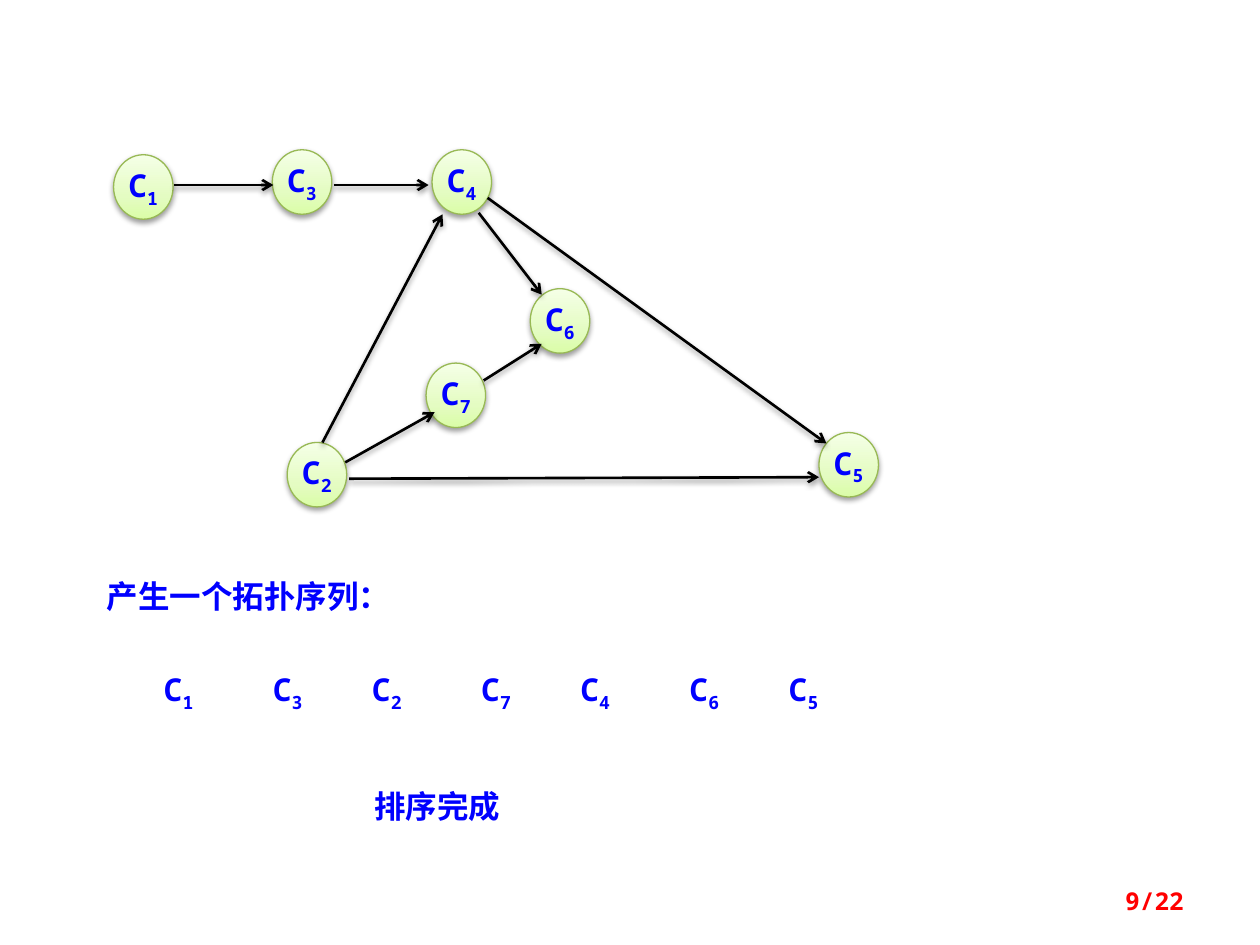
import copy

import pptx
import pptx.dml.color
import pptx.enum.shapes
import pptx.enum.text
import pptx.oxml
import pptx.oxml.ns
import pptx.util

Cm = pptx.util.Cm
Pt = pptx.util.Pt
qn = pptx.oxml.ns.qn
Align = pptx.enum.text.PP_ALIGN
Anchor = pptx.enum.text.MSO_ANCHOR

FONT = "Noto Sans Mono"
BLUE, RED, BLACK, GREEN = "0000FF", "FF0000", "000000", "98B955"
NODE_GRADIENT = [(0, "DAFDA7"), (0.35, "E4FCC2"), (1, "F5FFE7")]
NODE_WIDTH, NODE_HEIGHT = 1.2, 1.3
COURSES = {
    "1": (0, 0.1), "3": (3.2, 0), "4": (6.42, 0), "2": (3.5, 5.9),
    "7": (6.3, 4.3), "6": (8.4, 2.8), "5": (14.22, 5.7),
}
PREREQUISITES = [
    ((1.22, 0.71), (3.22, 0.71)),
    ((4.44, 0.71), (6.35, 0.71)),
    ((4.21, 5.9), (6.63, 1.3)),
    ((4.67, 6.3), (6.47, 5.29)),
    ((7.46, 4.65), (8.63, 3.91)),
    ((7.54, 0.97), (14.37, 5.92)),
    ((4.75, 6.63), (14.22, 6.6)),
    ((7.36, 1.27), (8.63, 2.92)),
]
SHADOW = (
    '<a:effectLst xmlns:a="http://schemas.openxmlformats.org/drawingml/2006/main">'
    '<a:outerShdw blurRad="40000" dist="20000" dir="5400000" rotWithShape="0">'
    '<a:srgbClr val="000000"><a:alpha val="38000"/></a:srgbClr>'
    "</a:outerShdw></a:effectLst>"
)


def rgb(value):
    """Turn a hex string into a colour."""
    return pptx.dml.color.RGBColor.from_string(value)


def style_paragraph(paragraph, size=18, color=BLUE, align=Align.LEFT):
    """Set alignment and bold font of a paragraph."""
    paragraph.alignment = align
    font = paragraph.font
    font.name, font.size, font.bold = FONT, Pt(size), True
    font.color.rgb = rgb(color)


def write_course(paragraph, number, align=Align.LEFT):
    """Write a course name with its number as subscript."""
    style_paragraph(paragraph, align=align)
    paragraph.add_run().text = "C"
    subscript = paragraph.add_run()
    subscript.text = number
    subscript._r.get_or_add_rPr().set("baseline", "-25000")


def add_textbox(slide, left, top, width, height):
    """Add a wrapping text box and return its text frame."""
    frame = slide.shapes.add_textbox(Cm(left), Cm(top), Cm(width), Cm(height)).text_frame
    frame.word_wrap = True
    return frame


def add_label(slide, left, top, width, height, text, **style):
    """Add a one-line label."""
    frame = add_textbox(slide, left, top, width, height)
    frame.vertical_anchor = Anchor.MIDDLE
    frame.paragraphs[0].text = text
    style_paragraph(frame.paragraphs[0], **style)


def add_course(slide, left, top, number):
    """Add a shaded circle that holds a course name."""
    node = slide.shapes.add_shape(
        pptx.enum.shapes.MSO_SHAPE.OVAL, Cm(left), Cm(top), Cm(NODE_WIDTH), Cm(NODE_HEIGHT)
    )
    node.fill.gradient()
    node.fill.gradient_angle = 90
    stops = node._element.spPr.find(qn("a:gradFill")).find(qn("a:gsLst"))
    stops.append(copy.deepcopy(stops[0]))
    for stop, (position, color) in zip(node.fill.gradient_stops, NODE_GRADIENT):
        stop.position = position
        stop.color.rgb = rgb(color)
    node.line.color.rgb = rgb(GREEN)
    node.line.width = Pt(0.75)
    node._element.spPr.append(pptx.oxml.parse_xml(SHADOW))
    frame = node.text_frame
    frame.word_wrap = False
    frame.vertical_anchor = Anchor.MIDDLE
    frame.paragraphs[0].line_spacing = 0.8
    write_course(frame.paragraphs[0], number, Align.CENTER)


def add_arrow(slide, start, end):
    """Add a black arrow between two points."""
    arrow = slide.shapes.add_connector(
        pptx.enum.shapes.MSO_CONNECTOR.STRAIGHT, *(Cm(value) for value in start + end)
    )
    arrow.line.color.rgb = rgb(BLACK)
    arrow.line.width = Pt(1.5)
    tail = arrow.line._get_or_add_ln().makeelement(qn("a:tailEnd"), {"type": "arrow"})
    arrow.line._get_or_add_ln().append(tail)
    arrow._element.spPr.append(pptx.oxml.parse_xml(SHADOW))


def add_graph(slide, left, top):
    """Add the courses and the arrows of their prerequisites."""
    for number, (x, y) in COURSES.items():
        add_course(slide, left + x, top + y, number)
    for start, end in PREREQUISITES:
        add_arrow(slide, *((left + x, top + y) for x, y in (start, end)))


def add_sequence(slide, left, top, order):
    """Add the sorted courses in a row of pairs."""
    for index, number in enumerate(order):
        pair, second = divmod(index, 2)
        frame = add_textbox(slide, left + 4.2 * pair + 2.2 * second, top, 1.8, 0.76)
        frame.margin_left = frame.margin_right = frame.margin_top = frame.margin_bottom = 0
        write_course(frame.paragraphs[0], number)


def main():
    """Build the slide and save it."""
    deck = pptx.Presentation()
    deck.slide_width, deck.slide_height = Cm(25.4), Cm(19.05)
    slide = deck.slides.add_slide(deck.slide_layouts[6])
    add_graph(slide, 2.29, 3.02)
    add_label(slide, 1.9, 11.5, 9.6, 1.02, "产生一个拓扑序列：")
    add_sequence(slide, 3.3, 13.5, "1327465")
    add_label(slide, 7.3, 15.73, 4.8, 1.02, "排序完成")
    add_label(slide, 18.2, 17.65, 5.92, 1.02, "9/22", size=14, color=RED, align=Align.RIGHT)
    deck.save("out.pptx")


if __name__ == "__main__":
    main()
